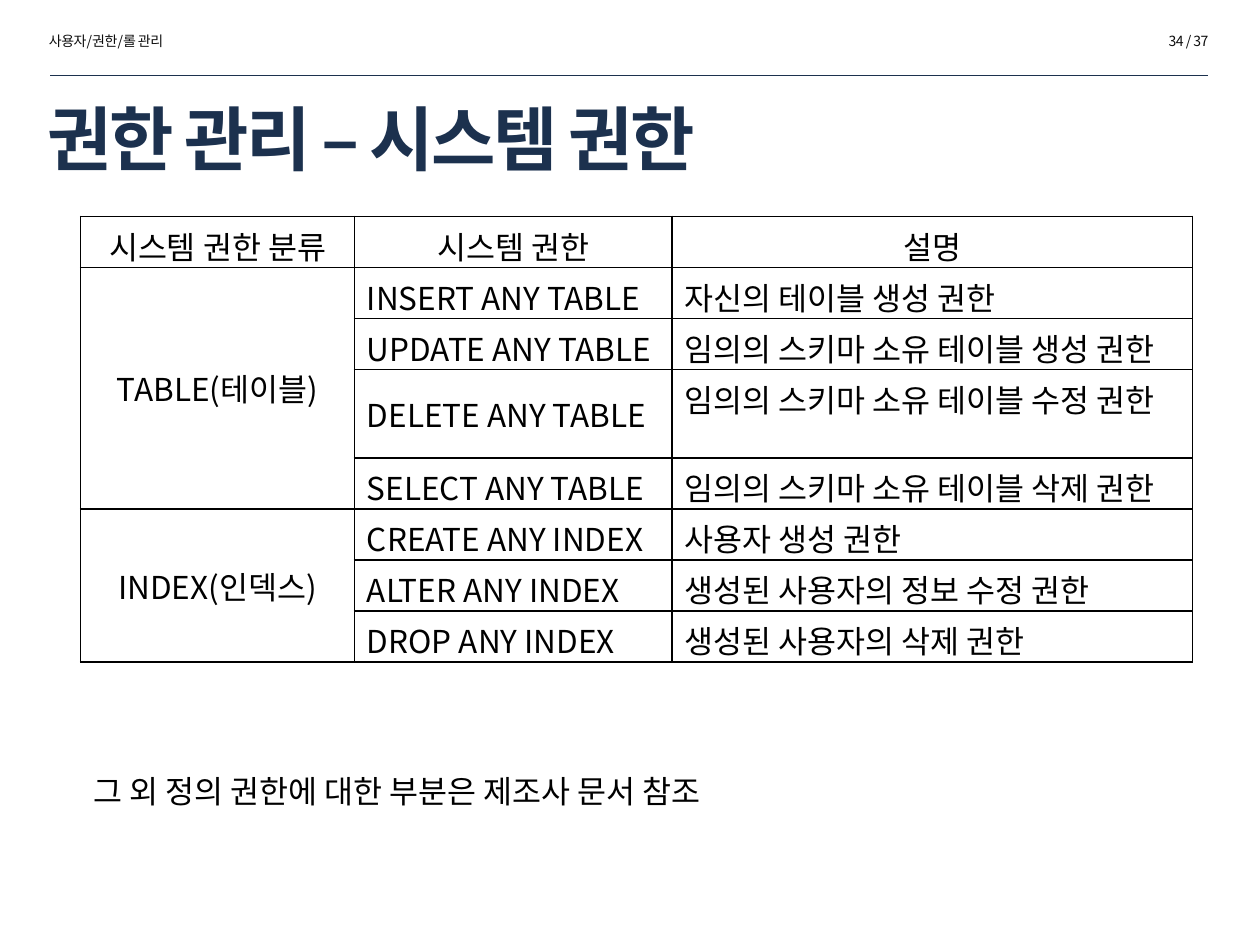
"""Build the system privilege slide with its table of privileges."""
from dataclasses import dataclass

from lxml import etree
from pptx import Presentation
from pptx import util as u
from pptx.dml.color import RGBColor
from pptx.enum import shapes, text
from pptx.oxml.ns import qn


@dataclass(frozen=True)
class Theme:
    """Colours, typeface and type sizes."""
    face: str = "Noto Sans CJK KR"
    navy: str = "1C314E"
    ink: str = "0D0D0D"
    black: str = "000000"
    title: float = 40
    body: float = 18
    small: float = 8


@dataclass(frozen=True)
class Style:
    """Character format and alignment of one kind of text."""
    size: float
    color: str
    align: text.PP_ALIGN = text.PP_ALIGN.LEFT
    bold: bool = False
    spacing: float = 0


@dataclass(frozen=True)
class Label:
    """One free text with its box in points."""
    words: str
    box: tuple[float, float, float, float]
    style: Style


@dataclass(frozen=True)
class Group:
    """A privilege class with its (privilege, description) rows."""
    name: str
    anchor: text.MSO_ANCHOR
    privileges: tuple[tuple[str, str], ...]


THEME = Theme()
LEFT, CENTER, RIGHT = text.PP_ALIGN.LEFT, text.PP_ALIGN.CENTER, text.PP_ALIGN.RIGHT
TOP, MIDDLE = text.MSO_ANCHOR.TOP, text.MSO_ANCHOR.MIDDLE
BODY = Style(THEME.body, THEME.black)
CENTERED = Style(THEME.body, THEME.black, CENTER)
HEADING = Label("권한 관리 – 시스템 권한", (20.16, 55.44, 550.8, 46.08),
                Style(THEME.title, THEME.navy, bold=True, spacing=-1.5))
LABELS = (
    Label("34 / 37", (573.12, 15.12, 124.56, 17.28),
          Style(THEME.small, THEME.ink, RIGHT, spacing=-0.3)),
    Label("사용자/권한/롤 관리", (20.88, 15.12, 124.56, 17.28),
          Style(THEME.small, THEME.ink, spacing=-0.3)),
    Label("그 외 정의 권한에 대한 부분은 제조사 문서 참조",
          (46.08, 437.76, 635.76, 28.8), BODY),
)
HEADERS = ("시스템 권한 분류", "시스템 권한", "설명")
GROUPS = (
    Group("TABLE(테이블)", MIDDLE, (
        ("INSERT ANY TABLE", "자신의 테이블 생성 권한"),
        ("UPDATE ANY TABLE", "임의의 스키마 소유 테이블 생성 권한"),
        ("DELETE ANY TABLE", "임의의 스키마 소유 테이블 수정 권한"),
        ("SELECT ANY TABLE", "임의의 스키마 소유 테이블 삭제 권한"),
    )),
    Group("INDEX(인덱스)", TOP, (
        ("CREATE ANY INDEX", "사용자 생성 권한"),
        ("ALTER ANY INDEX", "생성된 사용자의 정보 수정 권한"),
        ("DROP ANY INDEX", "생성된 사용자의 삭제 권한"),
    )),
)
COLUMNS = (156.4, 181.6, 297.4)
ROW, TALL_ROW, TALL_INDEX = 29.2, 50.4, 3
TABLE_LEFT, TABLE_TOP = 46.08, 123.6


def write(frame, words: str, style: Style) -> None:
    """Put one formatted paragraph into a text frame."""
    paragraph = frame.paragraphs[0]
    paragraph.alignment = style.align
    run = paragraph.add_run()
    run.text = words
    formats = {"name": THEME.face, "size": u.Pt(style.size), "bold": style.bold}
    for key, value in formats.items():
        setattr(run.font, key, value)
    run.font.color.rgb = RGBColor.from_string(style.color)
    properties = run.font._element
    etree.SubElement(properties, qn("a:ea")).set("typeface", THEME.face)
    if style.spacing:
        properties.set("spc", str(round(style.spacing * 100)))


def place(shape, box: tuple[float, float, float, float]) -> None:
    """Move a shape to a box given in points."""
    for key, value in zip(("left", "top", "width", "height"), box):
        setattr(shape, key, u.Pt(value))


def add_title(slide, label: Label) -> None:
    """Fill the title placeholder."""
    title = slide.shapes.title
    place(title, label.box)
    formats = {"word_wrap": True, "vertical_anchor": MIDDLE,
               "auto_size": text.MSO_AUTO_SIZE.NONE}
    for key, value in formats.items():
        setattr(title.text_frame, key, value)
    write(title.text_frame, label.words, label.style)


def add_label(slide, label: Label) -> None:
    """Add a text box that grows with its text."""
    frame = slide.shapes.add_textbox(*map(u.Pt, label.box)).text_frame
    formats = {"word_wrap": True, "auto_size": text.MSO_AUTO_SIZE.SHAPE_TO_FIT_TEXT}
    for key, value in formats.items():
        setattr(frame, key, value)
    write(frame, label.words, label.style)


def add_rule(slide) -> None:
    """Draw the thin line under the page header."""
    rule = slide.shapes.add_connector(shapes.MSO_CONNECTOR.STRAIGHT,
                                      *map(u.Pt, (28.8, 43.2, 690.48, 43.2)))
    rule.line.width = u.Pt(0.25)
    rule.line.color.rgb = RGBColor.from_string(THEME.navy)
    etree.SubElement(rule._element.spPr, qn("a:effectLst"))


def outline(cell) -> None:
    """Give a cell thin borders and no fill."""
    properties = cell._tc.get_or_add_tcPr()
    for side in ("lnL", "lnR", "lnT", "lnB"):
        border = etree.SubElement(properties, qn(f"a:{side}"), w=str(u.Pt(1)))
        fill = etree.SubElement(border, qn("a:solidFill"))
        etree.SubElement(fill, qn("a:srgbClr"), val=THEME.black)
    cell.fill.background()


def fill_cell(cell, words: str, style: Style, anchor: text.MSO_ANCHOR) -> None:
    """Write a table cell at the given anchor."""
    cell.vertical_anchor = anchor
    write(cell.text_frame, words, style)


def add_privileges(slide) -> None:
    """Build the privilege table with one merged cell per group."""
    count = 1 + sum(len(group.privileges) for group in GROUPS)
    height = ROW * (count - 1) + TALL_ROW
    box = (TABLE_LEFT, TABLE_TOP, sum(COLUMNS), height)
    table = slide.shapes.add_table(count, len(COLUMNS), *map(u.Pt, box)).table
    table.first_row = table.horz_banding = False
    for column, width in zip(table.columns, COLUMNS):
        column.width = u.Pt(width)
    for index, row in enumerate(table.rows):
        row.height = u.Pt(TALL_ROW if index == TALL_INDEX else ROW)
    for cell in table.iter_cells():
        outline(cell)
    for index, header in enumerate(HEADERS):
        fill_cell(table.cell(0, index), header, CENTERED, MIDDLE)
    start = 1
    for group in GROUPS:
        end = start + len(group.privileges)
        table.cell(start, 0).merge(table.cell(end - 1, 0))
        fill_cell(table.cell(start, 0), group.name, CENTERED, MIDDLE)
        for index, (privilege, description) in enumerate(group.privileges, start):
            fill_cell(table.cell(index, 1), privilege, BODY, group.anchor)
            fill_cell(table.cell(index, 2), description, BODY, TOP)
        start = end


def main() -> None:
    """Assemble and save the slide."""
    deck = Presentation()
    deck.slide_width, deck.slide_height = u.Pt(720), u.Pt(540)
    slide = deck.slides.add_slide(deck.slide_layouts[5])
    add_rule(slide)
    add_title(slide, HEADING)
    for label in LABELS:
        add_label(slide, label)
    add_privileges(slide)
    deck.save("out.pptx")


if __name__ == "__main__":
    main()
